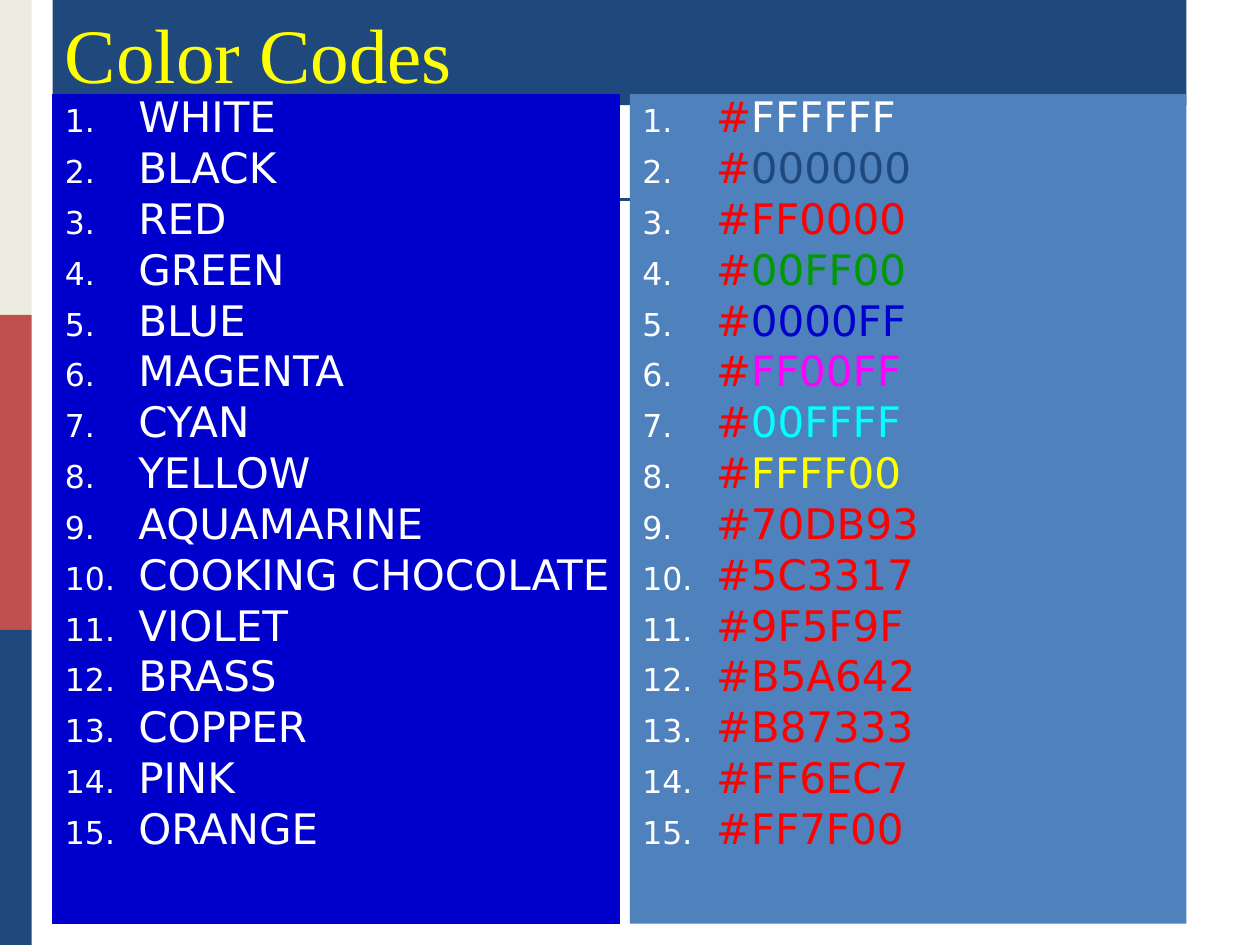
from lxml import etree
from pptx import Presentation
from pptx import util as u
from pptx.dml.color import RGBColor
from pptx.enum import shapes, text
from pptx.oxml.ns import qn

NAVY, RED, BLUE, WHITE = "1F497D", "FF0000", "0000CC", "FFFFFF"


def panel(left, top, width, height, color):
    box = slide.shapes.add_shape(shapes.MSO_SHAPE.RECTANGLE, u.Cm(left), u.Cm(top),
                                 u.Cm(width), u.Cm(height))
    box.shadow.inherit = False
    box.fill.solid()
    box.fill.fore_color.rgb = RGBColor.from_string(color)
    box.line.fill.background()
    return box


def add_run(paragraph, words, size, font, color):
    run = paragraph.add_run()
    run.text = words
    run.font.size = u.Pt(size)
    run.font.name = font
    run.font.color.rgb = RGBColor.from_string(color)


prs = Presentation()
prs.slide_width, prs.slide_height = u.Cm(25.4), u.Cm(19.05)
slide = prs.slides.add_slide(prs.slide_layouts[6])

# Side stripe in three equal bands, and the rule behind the panels
band = 19.05 / 3
for i, color in enumerate(["EEECE1", "C0504D", NAVY]):
    panel(0, i * band, 0.64, band, color)

rule = slide.shapes.add_connector(shapes.MSO_CONNECTOR.STRAIGHT,
                                  u.Cm(1.27), u.Cm(4.02), u.Cm(23.71), u.Cm(4.02))
rule.line.color.rgb = RGBColor.from_string(NAVY)
rule.line.width = u.Pt(1.5)
etree.SubElement(rule._element.spPr, qn("a:effectLst"))

# Title bar
title = panel(1.06, 0, 22.86, 2.12, NAVY)
title.text_frame.word_wrap = True
title.text_frame.vertical_anchor = text.MSO_ANCHOR.BOTTOM
heading = title.text_frame.paragraphs[0]
heading.alignment = text.PP_ALIGN.LEFT
add_run(heading, "Color Codes", 44, "Times New Roman", "FFFF00")

# Each colour: name, code, and the colour its digits are shown in
colors = [
    ("WHITE", "FFFFFF", WHITE),
    ("BLACK", "000000", NAVY),
    ("RED", "FF0000", RED),
    ("GREEN", "00FF00", "009900"),
    ("BLUE", "0000FF", BLUE),
    ("MAGENTA", "FF00FF", "FF00FF"),
    ("CYAN", "00FFFF", "00FFFF"),
    ("YELLOW", "FFFF00", "FFFF00"),
    ("AQUAMARINE", "70DB93", RED),
    ("COOKING CHOCOLATE", "5C3317", RED),
    ("VIOLET", "9F5F9F", RED),
    ("BRASS", "B5A642", RED),
    ("COPPER", "B87333", RED),
    ("PINK", "FF6EC7", RED),
    ("ORANGE", "FF7F00", RED),
]
name_rows = [[(name, WHITE)] for name, code, shown in colors]
code_rows = [[("#" + code, RED)] if shown == RED else [("#", RED), (code, shown)]
             for name, code, shown in colors]

# Two numbered lists side by side
names = panel(1.06, 1.9, 11.43, 16.72, BLUE)
names.line.color.rgb = RGBColor.from_string(BLUE)
names.line.width = u.Pt(0.75)
codes = panel(12.7, 1.9, 11.22, 16.72, "4F81BD")

for column, rows in [(names, name_rows), (codes, code_rows)]:
    frame = column.text_frame
    frame.word_wrap = True
    frame.margin_right = 0
    frame.vertical_anchor = text.MSO_ANCHOR.TOP
    for i, row in enumerate(rows):
        item = frame.add_paragraph() if i else frame.paragraphs[0]
        item.alignment = text.PP_ALIGN.LEFT
        item.line_spacing = 0.8
        item.space_before = u.Pt(6)
        props = item._p.get_or_add_pPr()
        props.set("marL", str(u.Cm(1.48)))
        props.set("indent", str(-u.Cm(1.48)))
        number_color = etree.SubElement(props, qn("a:buClr"))
        etree.SubElement(number_color, qn("a:srgbClr"), val=WHITE)
        etree.SubElement(props, qn("a:buSzPct"), val="75000")
        etree.SubElement(props, qn("a:buAutoNum"), type="arabicPeriod")
        for words, color in row:
            add_run(item, words, 24, "DejaVu Sans", color)

prs.save("out.pptx")
